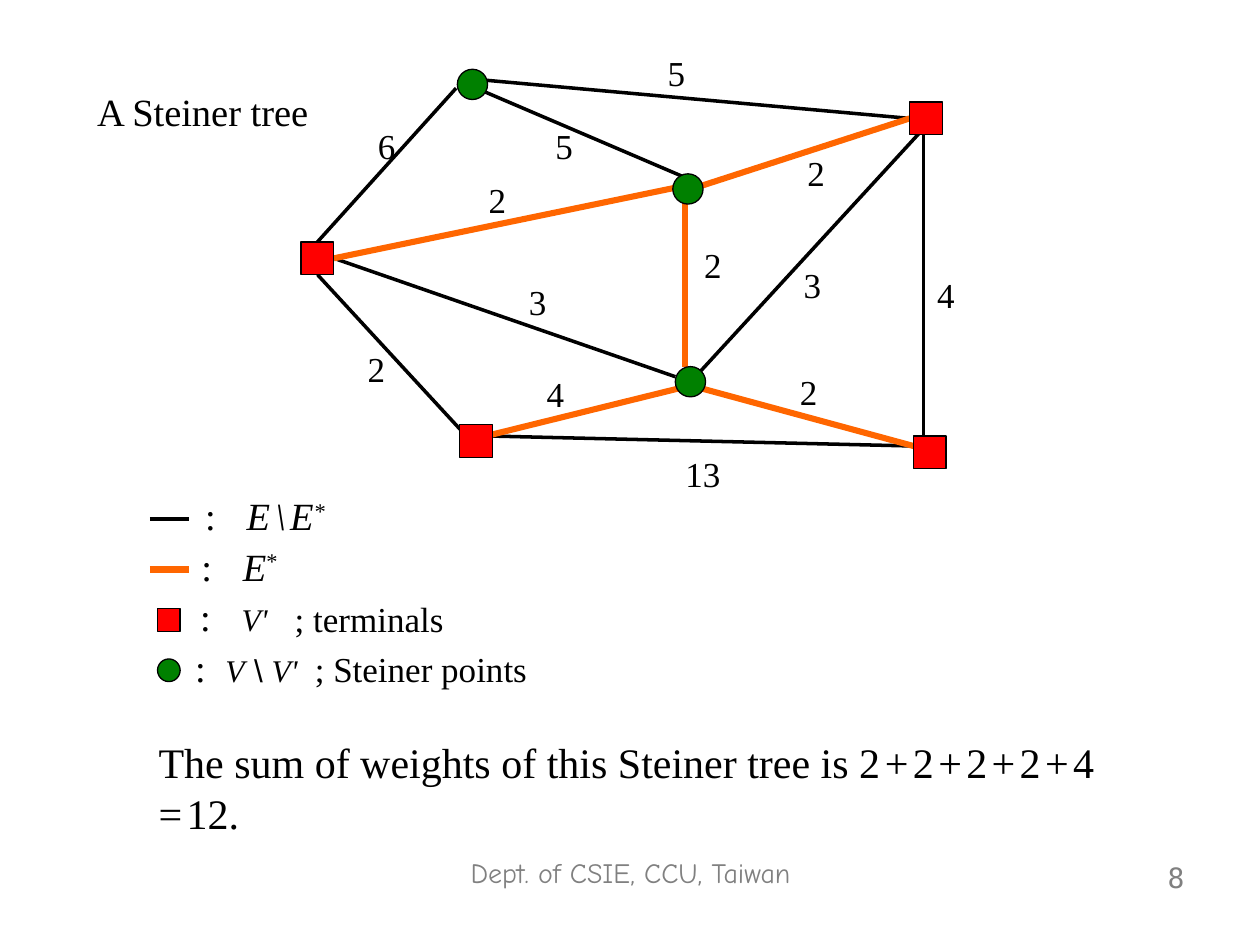
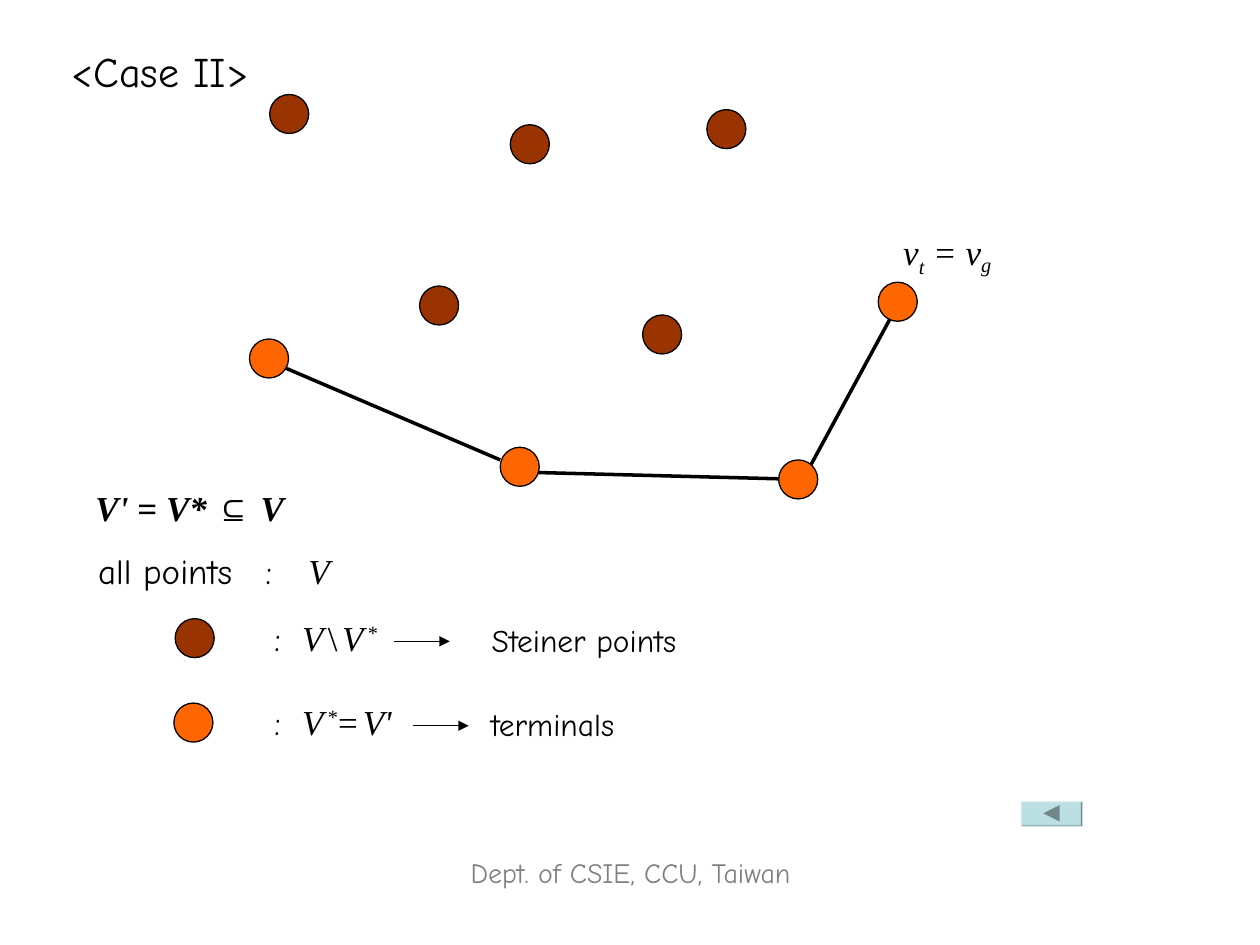
import pptx
import pptx.util
import pptx.dml.color
import pptx.oxml.ns
import pptx.enum.shapes
import pptx.enum.text
from lxml import etree

Inches = pptx.util.Inches
SHAPE = pptx.enum.shapes.MSO_SHAPE
ALIGN = pptx.enum.text.PP_ALIGN
qn = pptx.oxml.ns.qn

# Shared style
SERIF, HAND, SANS, MONO = "Times New Roman", "Comic Neue", "Arial", "DejaVu Sans Mono"
BLACK, GRAY, RED, GREEN = "000000", "808080", "FF0000", "008000"
ORANGE, BROWN, BUTTON, BUTTON_MARK = "FF6600", "993300", "BBE0E3", "708688"
THIN, THICK, HAIR = 2, 3.5, 0.75
FOOTER = "Dept. of CSIE, CCU, Taiwan"
ITALIC = {"italic": True}
SUPER = {"baseline": 30}
GAP = (" ", {"size": 10})

# Slide 1: the weighted graph
TERMINALS = {"west": (2.39, 1.92), "northeast": (7.22, 0.81),
             "southeast": (7.25, 3.46), "southwest": (3.65, 3.37)}
STEINER_POINTS = [(3.63, 0.55), (5.36, 2.91), (5.34, 1.38)]
TERMINAL_SIZE, STEINER_SIZE, KEY_SIZE = 0.26, 0.24, 0.18
WEST_TOP, WEST_BOTTOM, WEST_RIGHT = ("west", 0), ("west", 2), ("west", 3)
NORTHEAST_LEFT = ("northeast", 1)

# An end is a point or a (terminal, side) pair: (from, to, weight, weight's place)
OTHER_EDGES = [
    ((3.62, 0.7), WEST_TOP, "6", (2.9, 0.94)),
    ((3.78, 0.63), NORTHEAST_LEFT, "5", (5.2, 0.36)),
    ((3.78, 0.7), (5.44, 1.41), "5", (4.31, 0.94)),
    (WEST_RIGHT, (5.36, 2.99), "3", (4.1, 2.18)),
    ((5.52, 2.99), (7.33, 1.02), "3", (6.28, 2.04)),
    (WEST_BOTTOM, (3.7, 3.46), "2", (2.82, 2.71)),
    ((3.86, 3.46), (7.25, 3.54), "13", (5.34, 3.54)),
    ((7.33, 1.02), (7.33, 3.46), "4", (7.34, 2.12)),
]
TREE_EDGES = [
    (WEST_RIGHT, (5.36, 1.49), "2", (3.78, 1.37)),
    ((5.44, 1.57), (5.44, 2.91), "2", (5.49, 1.88)),
    ((5.44, 3.07), (3.86, 3.46), "4", (4.24, 2.91)),
    ((5.52, 3.07), (7.25, 3.54), "2", (6.25, 2.89)),
    ((5.52, 1.49), NORTHEAST_LEFT, "2", (6.31, 1.15)),
]

# (kind of key, text left, tab, symbol, note, note's left)
LEGEND = [
    ((BLACK, THIN), 1.53, 0.33,
     [("E", ITALIC), (" ", {"size": 10, "font": SANS}), ("\\", ITALIC),
      (" ", {"size": 10}), ("E", ITALIC), ("*", {**ITALIC, **SUPER})], None, 0),
    ((ORANGE, THICK), 1.5, 0.33, [("E", ITALIC), ("*", SUPER)], None, 0),
    ((SHAPE.RECTANGLE, RED), 1.49, 0.33,
     [("V'", {**ITALIC, "size": 18})], "; terminals", 2.24),
    ((SHAPE.OVAL, GREEN), 1.45, 0.24,
     [("V", {**ITALIC, "size": 18}), (" ", ITALIC),
      ("\\ ", {"size": 18, "font": SANS}), ("V'", {**ITALIC, "size": 18})],
     "; Steiner points", 2.4),
]
LEGEND_TOP, LEGEND_PITCH = 3.86, 0.4
SUM_LEAD = "The sum of weights of this Steiner tree is "
SUM_TERMS = ["2", "+", "2", "+", "2", "+", "2", "+", "4", "=", "12."]

# Slide 2: terminals joined directly
DOT = 0.31
BROWN_DOTS = [(2.14, 0.75), (4.05, 0.99), (5.61, 0.87), (5.1, 2.5), (3.33, 2.27)]
ORANGE_DOTS = [(1.98, 2.69), (3.97, 3.55), (6.18, 3.65), (6.97, 2.24)]
PATH_EDGES = [((3.97, 3.65), (2.24, 2.91)), ((4.26, 3.75), (6.18, 3.8)),
              ((6.43, 3.7), (7.07, 2.52))]
END_POINT = [("v", {}), ("t", {"baseline": -25}), (" = v", {}), ("g", {"baseline": -20})]
SUBSET = [("V'", ITALIC), (" = ", {}), ("V* ", ITALIC), ("⊆ ", {"font": SANS}), ("V", ITALIC)]
ALL_POINTS = [("all points\t:\t", {"font": HAND}), ("V", ITALIC)]

# (dot colour, dot left, symbol, arrow left, word, word left, word width)
POINT_KINDS = [
    (BROWN, 1.39, [("V", ITALIC), GAP, ("\\", {}), GAP, ("V", ITALIC), GAP, ("*", SUPER)],
     3.13, "Steiner points", 3.33, 2.61),
    (ORANGE, 1.38, [("V", ITALIC), GAP, ("*", SUPER), ("=", {}),
                    (" ", {"size": 10, "font": SANS}), ("V'", ITALIC)],
     3.28, "terminals", 3.67, 1.43),
]
KINDS_TOP, KINDS_PITCH, ARROW_LENGTH = 4.84, 0.67, 0.44


def rgb(value):
    return pptx.dml.color.RGBColor.from_string(value)


def write(frame, runs, size=20, font=SERIF, color=BLACK, align=ALIGN.LEFT,
          wrap=True, tabs=(), **style):
    """Fill a text frame with a string or with (text, format) runs."""
    frame.word_wrap = wrap
    frame.auto_size = pptx.enum.text.MSO_AUTO_SIZE.NONE
    frame.vertical_anchor = pptx.enum.text.MSO_ANCHOR.TOP
    paragraph = frame.paragraphs[0]
    paragraph.alignment = align
    if tabs:
        stops = etree.SubElement(paragraph._p.get_or_add_pPr(), qn("a:tabLst"))
        for stop in tabs:
            etree.SubElement(stops, qn("a:tab"), pos=str(Inches(stop)), algn="l")
    for words, own in [(runs, {})] if isinstance(runs, str) else runs:
        look = {"size": size, "font": font, **style, **own}
        run = paragraph.add_run()
        run.text = words
        run.font.size = pptx.util.Pt(look["size"])
        run.font.name = look["font"]
        run.font.bold = look.get("bold", False)
        run.font.italic = look.get("italic", False)
        run.font.color.rgb = rgb(color)
        if "baseline" in look:
            run._r.get_or_add_rPr().set("baseline", str(look["baseline"] * 1000))


def text(slide, box, runs, **look):
    write(slide.shapes.add_textbox(*map(Inches, box)).text_frame, runs, **look)


def titled_slide(deck, box, title, **look):
    slide = deck.slides.add_slide(deck.slide_layouts[5])
    heading = slide.shapes.title
    heading.left, heading.top, heading.width, heading.height = map(Inches, box)
    write(heading.text_frame, title, **look)
    text(slide, (3.19, 6.74, 3.63, 0.52), FOOTER, size=16, font=HAND, color=GRAY,
         align=ALIGN.CENTER)
    return slide


def shape(slide, kind, at, width, height, fill, outlined=True):
    item = slide.shapes.add_shape(kind, *map(Inches, (*at, width, height)))
    item.shadow.inherit = False
    item.fill.solid()
    item.fill.fore_color.rgb = rgb(fill)
    if outlined:
        item.line.color.rgb = rgb(BLACK)
        item.line.width = pptx.util.Pt(HAIR)
    else:
        item.line.fill.background()
    return item


def line(slide, start, end, color=BLACK, width=THIN, arrow=False):
    item = slide.shapes.add_connector(
        pptx.enum.shapes.MSO_CONNECTOR.STRAIGHT, *map(Inches, (*start, *end)))
    item.line.color.rgb = rgb(color)
    item.line.width = pptx.util.Pt(width)
    if arrow:
        etree.SubElement(item.line._get_or_add_ln(), qn("a:tailEnd"), type="triangle")
    etree.SubElement(item._element.spPr, qn("a:effectLst"))
    return item


def edge(slide, start, end, terminals, color, width):
    """Draw a line, joining each end that names a terminal's side."""
    joined = [isinstance(place[0], str) for place in (start, end)]
    points = [TERMINALS[place[0]] if named else place
              for place, named in zip((start, end), joined)]
    item = line(slide, *points, color, width)
    if joined[0]:
        item.begin_connect(terminals[start[0]], start[1])
    if joined[1]:
        item.end_connect(terminals[end[0]], end[1])


def steiner_tree(deck):
    slide = titled_slide(deck, (0.67, 0.65, 2.12, 0.47), "A Steiner tree", size=22)
    terminals = {name: shape(slide, SHAPE.RECTANGLE, at, TERMINAL_SIZE, TERMINAL_SIZE, RED)
                 for name, at in TERMINALS.items()}
    for edges, color, width in ((OTHER_EDGES, BLACK, THIN), (TREE_EDGES, ORANGE, THICK)):
        for start, end, weight, at in edges:
            edge(slide, start, end, terminals, color, width)
            text(slide, (*at, 0.2 + 0.14 * len(weight), 0.44), weight, wrap=False)
    for terminal in terminals.values():  # terminals lie over the edges
        slide.shapes._spTree.append(terminal._element)
    for at in STEINER_POINTS:
        shape(slide, SHAPE.OVAL, at, STEINER_SIZE, STEINER_SIZE, GREEN)

    for row, (key, left, tab, symbol, note, note_left) in enumerate(LEGEND):
        top = LEGEND_TOP + row * LEGEND_PITCH
        middle = top + 0.26
        if note:
            shape(slide, key[0], (1.25, middle - KEY_SIZE / 2), KEY_SIZE, KEY_SIZE, key[1])
            text(slide, (note_left, top + 0.03, 2.02, 0.44), note)
        else:
            line(slide, (1.19, middle), (1.5, middle), *key)
        text(slide, (left, top, 1.3, 0.47), [(":\t", {})] + symbol, size=22, tabs=[tab])

    total = [(SUM_LEAD + SUM_TERMS[0], {})]
    for term in SUM_TERMS[1:]:
        total += [GAP, (term, {})]
    text(slide, (1.16, 5.8, 7.72, 0.9), total, size=24)
    text(slide, (7.17, 6.78, 2.33, 0.52), "8", size=16, font=MONO, color=GRAY,
         align=ALIGN.RIGHT)


def case_two(deck):
    slide = titled_slide(deck, (0.47, 0.31, 1.82, 0.5), "<Case II>", size=24, font=HAND)
    for start, end in PATH_EDGES:
        line(slide, start, end)
    for dots, color in ((BROWN_DOTS, BROWN), (ORANGE_DOTS, ORANGE)):
        for at in dots:
            shape(slide, SHAPE.OVAL, at, DOT, DOT, color)
    text(slide, (7.07, 1.78, 1.08, 0.48), END_POINT, italic=True)
    text(slide, (0.66, 3.81, 1.77, 0.44), SUBSET, bold=True)
    text(slide, (0.68, 4.31, 2.53, 0.44), ALL_POINTS, tabs=[1.33, 1.67])

    for row, (color, dot_left, symbol, arrow_left, word, left, width) in enumerate(POINT_KINDS):
        top = KINDS_TOP + row * KINDS_PITCH
        shape(slide, SHAPE.OVAL, (dot_left, top + 0.07), DOT, DOT, color)
        text(slide, (2.08, top, 1.4, 0.44), [(":\t", {"font": HAND})] + symbol, tabs=[0.22])
        line(slide, (arrow_left, top + 0.25), (arrow_left + ARROW_LENGTH, top + 0.25),
             width=HAIR, arrow=True)
        text(slide, (left, top + 0.04, width, 0.4), word, size=18, font=HAND,
             align=ALIGN.CENTER)

    button = shape(slide, SHAPE.BEVEL, (8.1, 6.36), 0.49, 0.2, BUTTON, outlined=False)
    button.adjustments[0] = 0.06
    back = shape(slide, SHAPE.ISOSCELES_TRIANGLE, (8.28, 6.39), 0.13, 0.13, BUTTON_MARK,
                 outlined=False)
    back.rotation = 270


def main():
    deck = pptx.Presentation()
    deck.slide_width, deck.slide_height = Inches(10), Inches(7.5)
    steiner_tree(deck)
    case_two(deck)
    deck.save("out.pptx")


if __name__ == "__main__":
    main()
